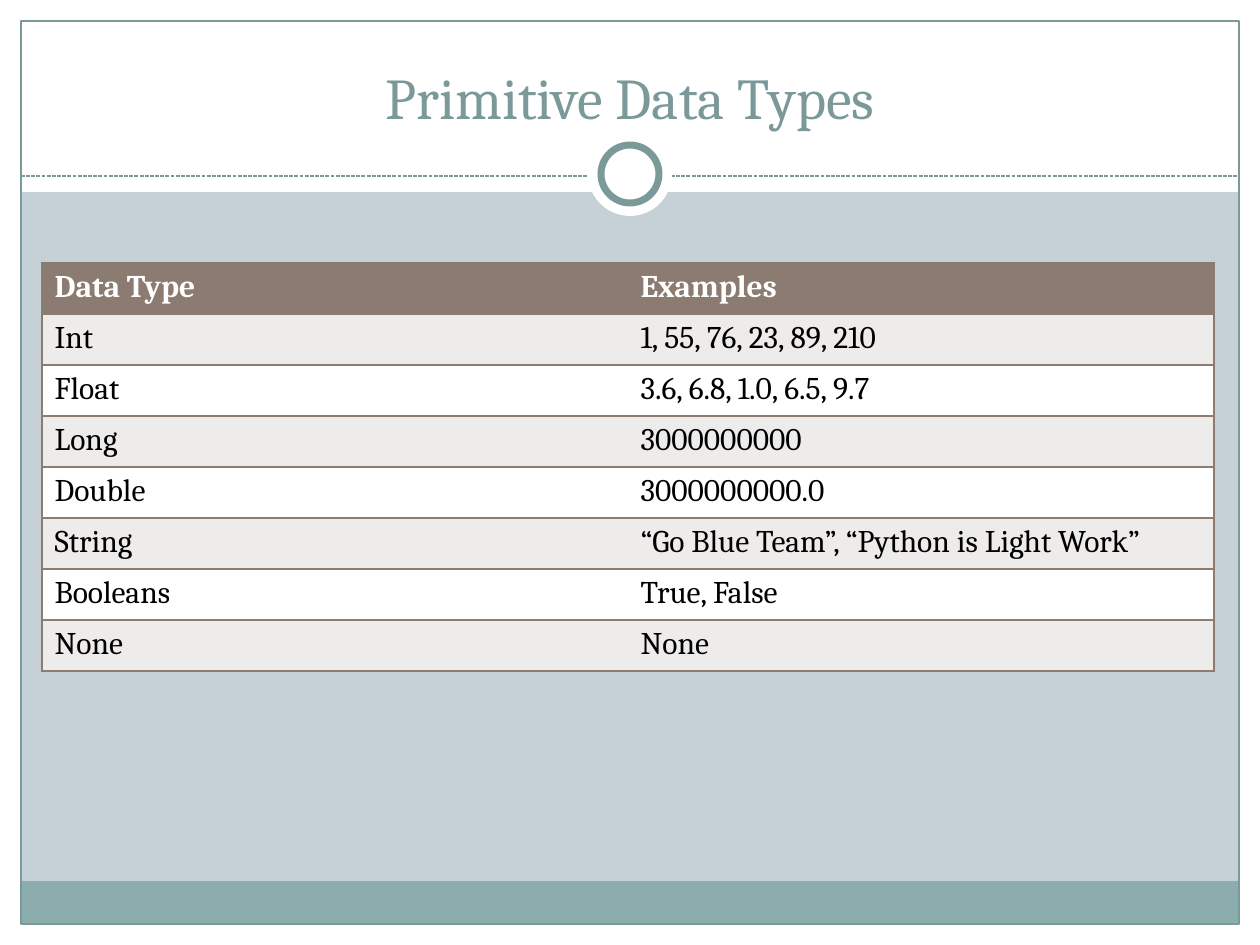
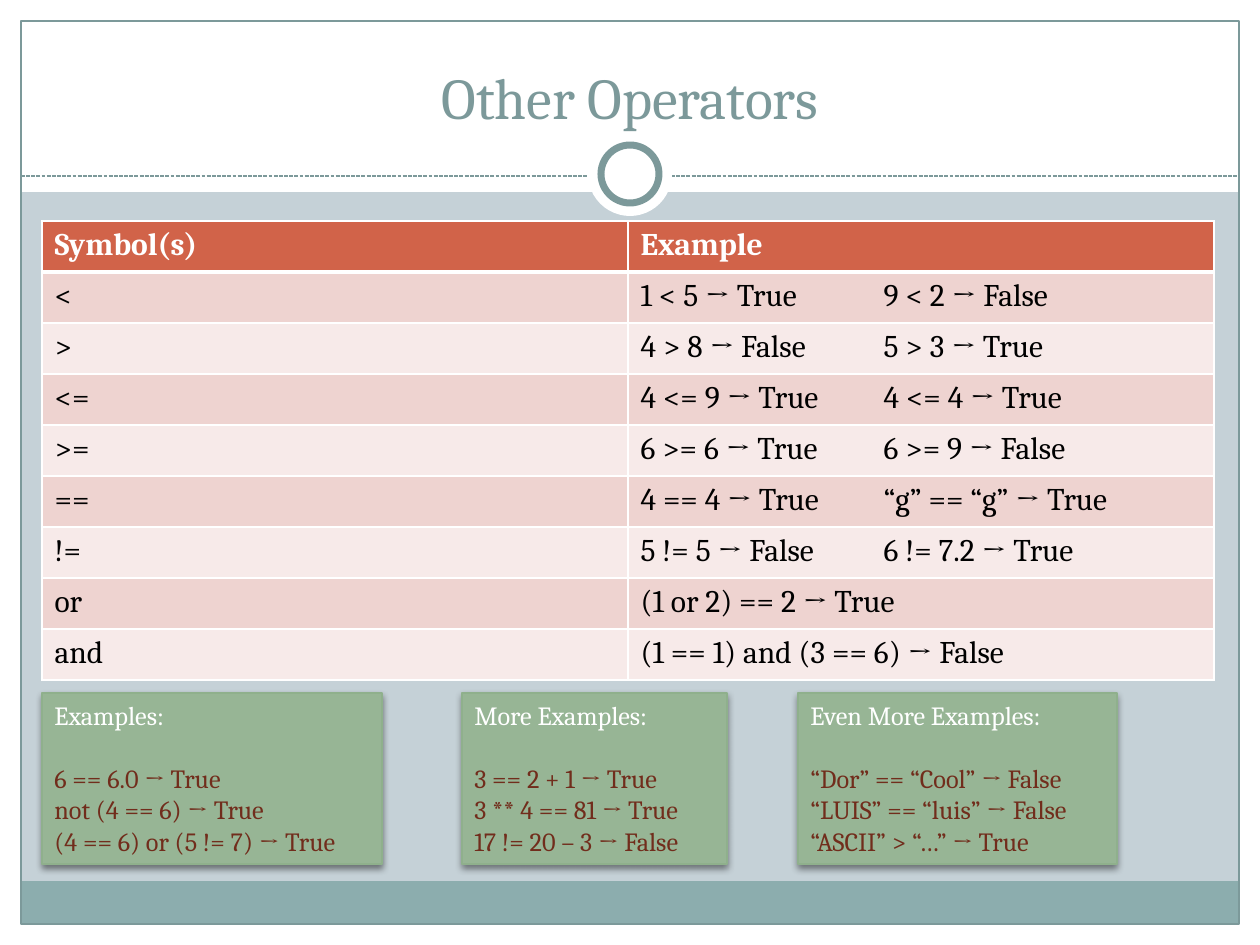
from lxml import etree
from pptx import Presentation, util as u
from pptx.dml.color import RGBColor
from pptx.enum import dml, shapes, text
from pptx.oxml import ns

PX = u.Inches(1) / 126
WIDTH, HEIGHT = 1260, 945
MARGIN = 21
LEFT = 42
FONT = "Cambria"
COLOURS = {
    "page": "C5D1D7", "white": "FFFFFF", "black": "000000",
    "teal": "7C999A", "footer": "8CADAE",
    "brown": "8C7B70", "brown_pale": "EEECEB",
    "rust": "D16349", "rust_mid": "EED3D0", "rust_pale": "F7EAE9",
    "green": "97B595", "green_edge": "8FB08C", "maroon": "712D1C",
}

DATA_TYPES = [
    ("Data Type", "Examples"),
    ("Int", "1, 55, 76, 23, 89, 210"),
    ("Float", "3.6, 6.8, 1.0, 6.5, 9.7"),
    ("Long", "3000000000"),
    ("Double", "3000000000.0"),
    ("String", "“Go Blue Team”, “Python is Light Work”"),
    ("Booleans", "True, False"),
    ("None", "None"),
]
OPERATORS = [
    ("Symbol(s)", "Example"),
    ("<", "1 < 5 → True\t9 < 2 → False"),
    (">", "4 > 8 → False\t5 > 3 → True"),
    ("<=", "4 <= 9 → True\t4 <= 4 → True"),
    (">=", "6 >= 6 → True\t6 >= 9 → False"),
    ("==", "4 == 4 → True\t“g” == “g” → True"),
    ("!=", "5 != 5 → False\t6 != 7.2 → True"),
    ("or", "(1 or 2) == 2 → True"),
    ("and", "(1 == 1) and (3 == 6) → False"),
]
EXAMPLE_BOXES = [  # left, width, heading, expressions
    (LEFT, 340, "Examples:",
     ["6 == 6.0 → True", "not (4 == 6) → True", "(4 == 6) or (5 != 7) → True"]),
    (462, 265, "More Examples:",
     ["3 == 2 + 1 → True", "3 ** 4 == 81 → True", "17 != 20 – 3 → False"]),
    (798, 319, "Even More Examples:",
     ["“Dor” == “Cool” → False", "“LUIS” == “luis” → False", "“ASCII” > “…” → True"]),
]


def px(*lengths):
    return [round(length * PX) for length in lengths]


def rgb(name):
    return RGBColor.from_string(COLOURS[name])


def sub(parent, tag, **attributes):
    return etree.SubElement(parent, ns.qn(tag), attributes)


def add_span(para, words, size, colour, bold=False):
    span = para.add_run()
    span.text = words
    span.font.name = FONT
    span.font.size = u.Pt(size)
    span.font.bold = bold
    span.font.color.rgb = rgb(colour)


def add_box(page, kind, place, fill=None, line=None, weight=0.75):
    box = page.shapes.add_shape(kind, *px(*place))
    box.shadow.inherit = False
    if fill:
        box.fill.solid()
        box.fill.fore_color.rgb = rgb(fill)
    else:
        box.fill.background()
    if line:
        box.line.color.rgb = rgb(line)
        box.line.width = u.Pt(weight)
    else:
        box.line.fill.background()
    return box


def add_dashed_rule(page, y):
    rule = page.shapes.add_connector(
        shapes.MSO_CONNECTOR.STRAIGHT, *px(MARGIN, y, WIDTH - MARGIN, y))
    rule.line.color.rgb = rgb("teal")
    rule.line.width = u.Pt(0.75)
    rule.line.dash_style = dml.MSO_LINE.SQUARE_DOT
    sub(rule.element.spPr, "a:effectLst")


def build_frame(layout, page):
    """Draw the shared frame on a page, then move it into the layout."""
    layout.background.fill.solid()
    layout.background.fill.fore_color.rgb = rgb("page")
    rect, oval = shapes.MSO_SHAPE.RECTANGLE, shapes.MSO_SHAPE.OVAL
    inner = WIDTH - 2 * MARGIN

    # White bands round the page
    for place in [(0, HEIGHT - MARGIN, WIDTH, MARGIN), (0, 0, WIDTH, 192),
                  (0, 0, MARGIN, HEIGHT), (WIDTH - MARGIN, 0, MARGIN, HEIGHT)]:
        add_box(page, rect, place, "white")
    # Footer band, outline and rule
    add_box(page, rect, (MARGIN, 881, inner, 43), "footer")
    add_box(page, rect, (MARGIN, MARGIN, inner, HEIGHT - 2 * MARGIN), line="teal")
    add_dashed_rule(page, 176)
    # Ring on the rule
    add_box(page, oval, (588, 132, 84, 84), "white")
    add_box(page, oval, (601, 145, 58, 58), "white", "teal", 4)

    for part in list(page.shapes):
        if not part.is_placeholder:
            layout.shapes.element.append(part.element)


def set_title(page, words):
    title = page.shapes.title
    title.left, title.top, title.width, title.height = px(LEFT, 32, 1176, 105)
    frame = title.text_frame
    frame.auto_size = text.MSO_AUTO_SIZE.NONE
    frame.vertical_anchor = text.MSO_ANCHOR.BOTTOM
    para = frame.paragraphs[0]
    para.alignment = text.PP_ALIGN.CENTER
    add_span(para, words, 33, "teal")


def set_borders(cell, borders):
    """Take (colour, points) for left, right, top, bottom; None hides a side."""
    props = cell._tc.get_or_add_tcPr()
    for index, (side, border) in enumerate(zip("LRTB", borders)):
        colour, points = border or (None, 0)
        line = sub(props, f"a:ln{side}", w=str(u.Pt(points)))
        if colour:
            sub(sub(line, "a:solidFill"), "a:srgbClr", val=COLOURS[colour])
        else:
            sub(line, "a:noFill")
        props.insert(index, line)


def add_tab_stop(para, position):
    stops = sub(para._p.get_or_add_pPr(), "a:tabLst")
    sub(stops, "a:tab", pos=str(px(position)[0]), algn="l")


def add_grid(page, top, rows, header, bands, borders_at):
    row_height, column_width = 51, 586
    grid = page.shapes.add_table(
        len(rows), 2, *px(LEFT, top, 2 * column_width, row_height * len(rows))).table
    for column in grid.columns:
        column.width = px(column_width)[0]
    for r, row in enumerate(rows):
        grid.rows[r].height = px(row_height)[0]
        for c, words in enumerate(row):
            cell = grid.cell(r, c)
            cell.fill.solid()
            cell.fill.fore_color.rgb = rgb(bands[(r - 1) % 2] if r else header)
            set_borders(cell, borders_at(r, c))
            para = cell.text_frame.paragraphs[0]
            if "\t" in words:
                add_tab_stop(para, 243)
            add_span(para, words, 18, "black" if r else "white", bold=r == 0)


def brown_borders(row, column):
    edge = ("brown", 1)
    return [None, edge, edge, edge] if column else [edge, None, edge, edge]


def white_borders(row, column):
    edge, thick = ("white", 1), ("white", 3)
    return [edge, edge, thick if row == 1 else edge, thick if row == 0 else edge]


def add_shadow(box):
    shadow = sub(box.element.spPr.find(ns.qn("a:effectLst")), "a:outerShdw",
                 blurRad=str(u.Pt(4)), dist=str(u.Pt(2)), dir="5400000", rotWithShape="0")
    sub(sub(shadow, "a:srgbClr", val=COLOURS["black"]), "a:alpha", val="45000")


def add_example_box(page, left, width, heading, expressions):
    box = add_box(page, shapes.MSO_SHAPE.RECTANGLE, (left, 693, width, 171),
                  "green", "green_edge")
    add_shadow(box)
    frame = box.text_frame
    frame.word_wrap = True
    frame.vertical_anchor = text.MSO_ANCHOR.TOP
    for index, words in enumerate([heading, *expressions]):
        para = frame.add_paragraph() if index else frame.paragraphs[0]
        para.alignment = text.PP_ALIGN.LEFT
        if index == 1:
            para.space_before = u.Pt(18)
        add_span(para, words, 15, "maroon" if index else "white")


def main():
    deck = Presentation()
    deck.slide_width, deck.slide_height = px(WIDTH, HEIGHT)
    layout = deck.slide_layouts[5]

    # Primitive data types
    page = deck.slides.add_slide(layout)
    build_frame(layout, page)
    set_title(page, "Primitive Data Types")
    add_grid(page, 263, DATA_TYPES, "brown", ("brown_pale", "white"), brown_borders)

    # Other operators
    page = deck.slides.add_slide(layout)
    set_title(page, "Other Operators")
    add_grid(page, 221, OPERATORS, "rust", ("rust_mid", "rust_pale"), white_borders)
    for example in EXAMPLE_BOXES:
        add_example_box(page, *example)

    deck.save("out.pptx")


if __name__ == "__main__":
    main()
